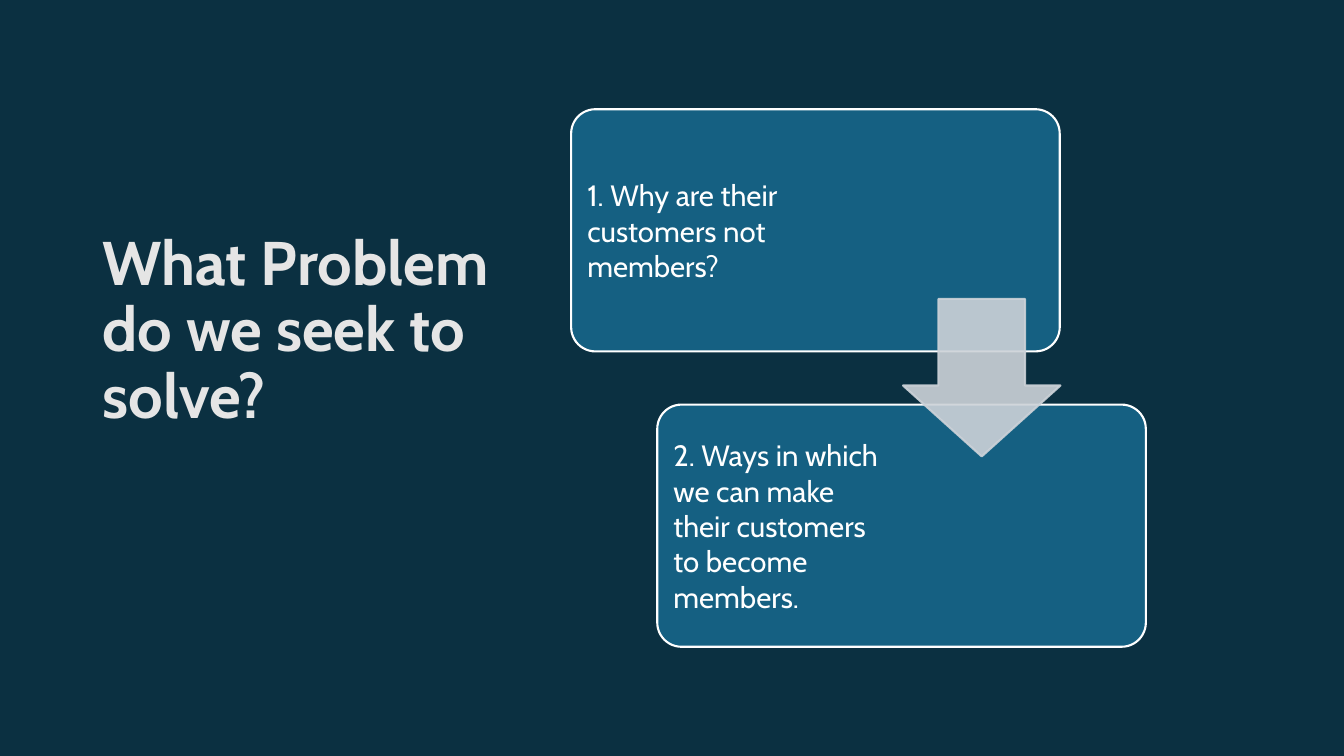
from lxml import etree
from pptx import Presentation
from pptx import util as u
from pptx.dml import color
from pptx.enum import shapes, text
from pptx.oxml import ns

FONT = "Cabin"
STEPS = [
    (408, 78, 171, "1. Why are their customers not members?"),
    (469.5, 289, 165, "2. Ways in which we can make their customers to become members."),
]


def rgb(value):
    return color.RGBColor.from_string(value)


def write(tf, words, size, ink, anchor, inset, bold=False):
    tf.word_wrap = True
    tf.auto_size = text.MSO_AUTO_SIZE.NONE
    tf.vertical_anchor = anchor
    tf.margin_left = tf.margin_right = u.Pt(inset[0])
    tf.margin_top = tf.margin_bottom = u.Pt(inset[1])
    p = tf.paragraphs[0]
    p.alignment = text.PP_ALIGN.LEFT
    r = p.add_run()
    r.text = words
    r.font.name, r.font.size, r.font.bold = FONT, u.Pt(size), bold
    r.font.color.rgb = rgb(ink)
    return p


def add_title(s, words):
    sp = s.shapes.title
    sp.left, sp.top, sp.width, sp.height = u.Pt(66), u.Pt(162), u.Pt(310), u.Pt(163.5)
    p = write(sp.text_frame, words, 44, "E5E5E5", text.MSO_ANCHOR.TOP, (7.2, 3.6), True)
    p.line_spacing = 0.9


def add_block(s, kind, box, adjustments, fill, line):
    sp = s.shapes.add_shape(kind, *[u.Pt(v) for v in box])
    sp.shadow.inherit = False
    for i, value in enumerate(adjustments):
        sp.adjustments[i] = value
    sp.fill.solid()
    sp.fill.fore_color.rgb = rgb(fill)
    sp.line.color.rgb = rgb(line)
    sp.line.width = u.Pt(1.5)
    return sp


def add_step(s, left, top, text_width, words):
    add_block(s, shapes.MSO_SHAPE.ROUNDED_RECTANGLE, (left, top, 349, 173), [0.1], "156082", "FFFFFF")
    box = (left + 5, top + 5, text_width, 163)
    sp = s.shapes.add_textbox(*[u.Pt(v) for v in box])
    write(sp.text_frame, words, 21, "FFFFFF", text.MSO_ANCHOR.MIDDLE, (6.5, 6.5))


def add_arrow(s):
    sp = add_block(s, shapes.MSO_SHAPE.DOWN_ARROW, (645, 213.5, 112.5, 112.5), [0.55, 0.45], "CCD2D8", "CCD2D8")
    for clr in sp._element.spPr.iter(ns.qn("a:srgbClr")):
        etree.SubElement(clr, ns.qn("a:alpha")).set("val", "90000")


def main():
    """Build the slide with its title, two steps and the arrow between them."""
    prs = Presentation()
    prs.slide_width, prs.slide_height = u.Pt(960), u.Pt(540)
    s = prs.slides.add_slide(prs.slide_layouts[5])
    s.background.fill.solid()
    s.background.fill.fore_color.rgb = rgb("0B3041")
    add_title(s, "What Problem do we seek to solve?")
    for step in STEPS:
        add_step(s, *step)
    add_arrow(s)
    prs.save("out.pptx")


if __name__ == "__main__":
    main()
